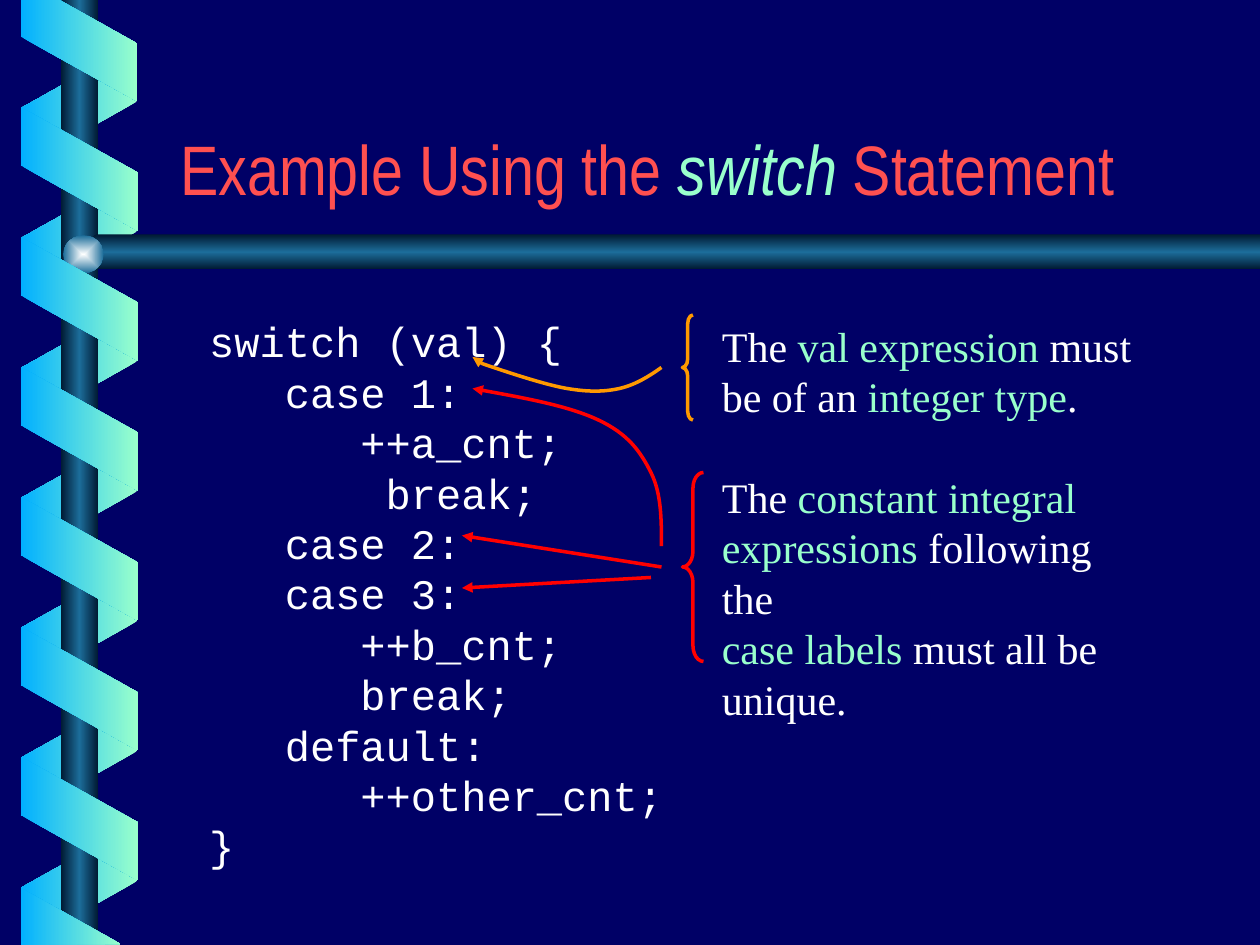
"""Slide on the switch statement: code at left, notes with arrows at right."""
from copy import deepcopy
from pptx import Presentation
from pptx.dml.color import RGBColor
from pptx.enum.shapes import MSO_CONNECTOR, MSO_SHAPE
from pptx.enum.text import MSO_ANCHOR
from pptx.oxml import parse_xml
from pptx.oxml.ns import nsdecls, qn
from pptx.oxml.xmlchemy import OxmlElement
from pptx.util import Pt

HUES = {"navy": "000066", "cyan": "01B0FF", "mint": "99FFCC", "dark": "001932",
        "steel": "1C6D9A", "pearl": "FEFFFF", "coral": "FF5050",
        "white": "FFFFFF", "amber": "FF9900", "red": "FF0000"}
RGB = {name: RGBColor.from_string(code) for name, code in HUES.items()}


def shade(shape, names, angle=0):
    """Give a shape an evenly stepped gradient and no outline."""
    shape.shadow.inherit = False
    shape.line.fill.background()
    shape.fill.gradient()
    shape.fill.gradient_angle = angle
    grad = shape._element.spPr.find(qn("a:gradFill"))
    grad.set("rotWithShape", "0")
    stops = grad.find(qn("a:gsLst"))
    while len(stops) < len(names):
        stops.append(deepcopy(stops[-1]))
    for i, (stop, name) in enumerate(zip(shape.fill.gradient_stops, names)):
        stop.color.rgb = RGB[name]
        stop.position = i / (len(names) - 1)
    return grad


def trace(points, close):
    """Draw a freeform through points."""
    first, *rest = [(Pt(x), Pt(y)) for x, y in points]
    pen = shapes.build_freeform(*first)
    pen.add_line_segments(rest, close=close)
    shape = pen.convert_to_shape()
    shape.shadow.inherit = False
    return shape


deck = Presentation()
deck.slide_width, deck.slide_height = Pt(720), Pt(540)
slide = deck.slides.add_slide(deck.slide_layouts[6])
slide.background.fill.solid()
slide.background.fill.fore_color.rgb = RGB["navy"]
shapes = slide.shapes

bands = []
for top, count, turn, names in ((26.5, 7, 90, ("mint", "cyan")),
                                (63.3, 6, 270, ("cyan", "mint"))):
    for i in range(count):
        band = shapes.add_shape(MSO_SHAPE.PARALLELOGRAM, Pt(10.1),
                                Pt(top + 74.25 * i), Pt(70.5), Pt(66.5))
        band.adjustments[0] = 0.56
        band.rotation = turn
        shade(band, names)
        if turn == 90:
            band._element.spPr.find(qn("a:xfrm")).set("flipH", "1")
        else:
            bands.append(band)

metal = ("dark", "steel", "dark")
rod = shapes.add_shape(MSO_SHAPE.RECTANGLE, Pt(34.7), 0, Pt(21.6), Pt(540))
shade(rod, metal)
bar = trace([(720, 134), (55, 134), (43, 144), (55, 154), (720, 154)], True)
shade(bar, metal, 270)
knob = shapes.add_shape(MSO_SHAPE.OVAL, Pt(36.2), Pt(134.5), Pt(23), Pt(21.6))
grad = shade(knob, ("pearl", "steel"))
grad.replace(grad.find(qn("a:lin")), parse_xml(
    f'<a:path {nsdecls("a")} path="rect">'
    '<a:fillToRect l="50000" t="50000" r="50000" b="50000"/></a:path>'))
for band in bands:
    shapes._spTree.append(band._element)
for ends in ([(12, 0), (12, 21), (78.5, 58), (78.5, 25), (34, 0)],
             [(69, 539.5), (12, 507.5), (12, 540)]):
    shade(trace(ends, True), ("cyan", "mint"))

TITLE = [[("Example Using the ", "coral"), ("switch", "mint"),
          (" Statement", "coral")]]
CODE = """switch (val) {
   case 1:
      ++a_cnt;
       break;
   case 2:
   case 3:
      ++b_cnt;
      break;
   default:
      ++other_cnt;
}"""
NOTES = [
    [("The ", "white"), ("val expression", "mint"), (" must", "white")],
    [("be of an ", "white"), ("integer type", "mint"), (".", "white")],
    [("The ", "white"), ("constant integral", "mint")],
    [("expressions", "mint"), (" following the", "white")],
    [("case labels", "mint"), (" must all be", "white")],
    [("unique.", "white")]]
code = [[(row, "white")] for row in CODE.split("\n")]
for spot, rows, font, size, inset in (
        ((96, 33, 612, 90), TITLE, "Arial Narrow", 40, 3.6),
        ((112.5, 173.5, 273.6, 324), code, "Courier New", 24, 7),
        ((405.4, 177, 260.6, 208.8), NOTES, "Times New Roman", 24, 6)):
    frame = shapes.add_textbox(*map(Pt, spot)).text_frame
    frame.word_wrap = rows is TITLE
    frame.margin_top = Pt(inset)
    if rows is TITLE:
        frame.vertical_anchor = MSO_ANCHOR.BOTTOM
    for i, row in enumerate(rows):
        para = frame.paragraphs[0] if i == 0 else frame.add_paragraph()
        para.font.name, para.font.size = font, Pt(size)
        if rows is not TITLE:
            para.line_spacing = Pt(28.8)
        if rows is NOTES and i == 2:
            para.space_before = Pt(28.8)
        for text, hue in row:
            run = para.add_run()
            run.text = text
            run.font.color.rgb = RGB[hue]
            if text == "switch":
                run.font.italic = True

for spot, bend, hue in (((390, 180, 6, 60), 0.83, "amber"),
                        ((390, 270, 12, 108), 0.75, "red")):
    brace = shapes.add_shape(MSO_SHAPE.LEFT_BRACE, *map(Pt, spot))
    brace.shadow.inherit = False
    brace.adjustments[0] = bend
    brace.fill.background()
    brace.line.color.rgb, brace.line.width = RGB[hue], Pt(2)

arrows = []
for hue, points in (
        ("amber", [(378, 210), (371, 215), (363, 220), (354, 222),
                   (345, 224), (336, 224), (324, 222),
                   (312, 220), (291, 213), (282, 210),
                   (273, 207), (271.5, 205.5), (270, 204)]),
        ("red", [(378, 312), (378, 297), (378, 282), (372, 270),
                 (366, 258), (359, 248), (342, 240),
                 (325, 232), (297.5, 227), (270, 222)])):
    curve = trace(points, False)
    curve.fill.background()
    route = next(curve._element.iter(qn("a:path")))
    steps = route.findall(qn("a:lnTo"))
    for i in range(0, len(steps), 3):
        bend = OxmlElement("a:cubicBezTo")
        for step in steps[i:i + 3]:
            bend.append(step[0])
            route.remove(step)
        route.append(bend)
    arrows.append((curve, hue))
for ends in ((378, 324, 264, 306), (372, 330, 264, 336)):
    link = shapes.add_connector(MSO_CONNECTOR.STRAIGHT, *map(Pt, ends))
    link._element.spPr.append(OxmlElement("a:effectLst"))
    arrows.append((link, "red"))
for arrow, hue in arrows:
    arrow.line.color.rgb, arrow.line.width = RGB[hue], Pt(2)
    tip = OxmlElement("a:tailEnd")
    tip.set("type", "triangle")
    arrow.line._get_or_add_ln().append(tip)

deck.save("out.pptx")
